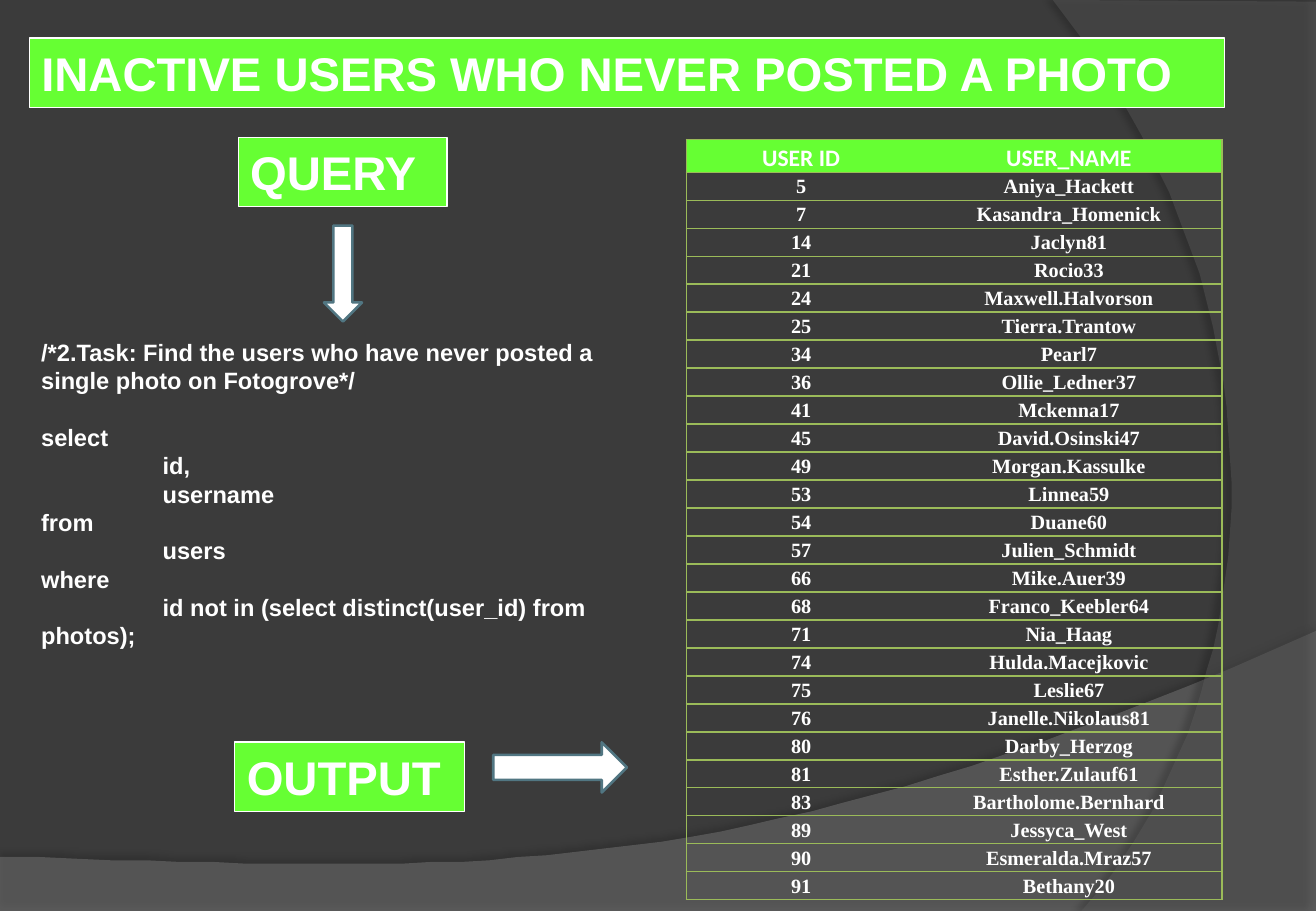
from lxml import etree
from pptx import Presentation
from pptx import util as u
from pptx.dml import color
from pptx.enum import shapes, text
from pptx.oxml import parse_xml
from pptx.oxml.ns import nsdecls

GREEN, WHITE, OLIVE, TEAL = "66FF33", "FFFFFF", "9BBB59", "517682"


def paint(fill, value):
    fill.solid()
    fill.fore_color.rgb = color.RGBColor.from_string(value)


def write(para, words, size, font="Arial"):
    span = para.add_run()
    span.text = words
    for name, value in {"size": u.Pt(size), "name": font, "bold": True}.items():
        setattr(span.font, name, value)
    paint(span.font.fill, WHITE)


deck = Presentation()
deck.slide_width, deck.slide_height = u.Pt(780), u.Pt(540)
page = deck.slides.add_slide(deck.slide_layouts[5])
paint(page.background.fill, "3B3B3B")

# Background waves: start, corners, then a curve (three control points)
waves = [
    ([(0, 507.6), (0, 540), (780, 540), (780, 374.4)],
     [(436.3, 524.9), (304.6, 517.7), (0, 507.6)], "7F7F7F", 45, 35, 3.5, 270),
    ([(780, 1.4), (780, 540), (640.8, 540)],
     [(728.6, 445.7), (793.4, 216), (624.2, 0)], "5E5E5E", 40, 45, 4, 180),
]
STEPS = 40
for corners, controls, shade, opacity, shadow_opacity, distance, angle in waves:
    curve = [corners[-1]] + controls
    points = list(corners)
    for step in range(1, STEPS + 1):
        t = step / STEPS
        weights = [(1 - t) ** 3, 3 * t * (1 - t) ** 2, 3 * t * t * (1 - t), t ** 3]
        points.append(tuple(sum(w * p[axis] for w, p in zip(weights, curve)) for axis in (0, 1)))
    outline = page.shapes.build_freeform(*points[0], scale=u.Pt(1))
    outline.add_line_segments(points[1:], close=True)
    wave = outline.convert_to_shape()
    paint(wave.fill, shade)
    wave.line.fill.background()
    tint = wave.fill._xPr.find(".//{*}srgbClr")
    etree.SubElement(tint, tint.tag.replace("srgbClr", "alpha"), val=str(opacity * 1000))
    wave._element.spPr.append(parse_xml(
        f'<a:effectLst {nsdecls("a")}><a:outerShdw blurRad="{u.Pt(4)}" dist="{u.Pt(distance)}" '
        f'dir="{angle * 60000}" algn="ctr" rotWithShape="0"><a:srgbClr val="000000">'
        f'<a:alpha val="{shadow_opacity * 1000}"/></a:srgbClr></a:outerShdw></a:effectLst>'))

# Title and green labels
title = page.shapes.title
page.shapes._spTree.append(title._element)
query = page.shapes.add_shape(shapes.MSO_SHAPE.RECTANGLE, 0, 0, 0, 0)
output = page.shapes.add_shape(shapes.MSO_SHAPE.RECTANGLE, 0, 0, 0, 0)
labels = [
    (title, "INACTIVE USERS WHO NEVER POSTED A PHOTO", 17.3, 22.6, 708.6),
    (query, "QUERY", 141.2, 81.4, 123.8),
    (output, "OUTPUT", 139.2, 439.8, 136),
]
for label, words, left, top, width in labels:
    place = {"left": left, "top": top, "width": width, "height": 41.2}
    for name, value in place.items():
        setattr(label, name, u.Pt(value))
    paint(label.fill, GREEN)
    paint(label.line.fill, WHITE)
    label.line.width = u.Pt(0.75)
    frame = label.text_frame
    layout = {"word_wrap": True, "auto_size": text.MSO_AUTO_SIZE.NONE,
              "vertical_anchor": text.MSO_ANCHOR.MIDDLE}
    for name, value in layout.items():
        setattr(frame, name, value)
    frame.paragraphs[0].alignment = text.PP_ALIGN.LEFT
    write(frame.paragraphs[0], words, 28)
for label in (query, output):
    label.shadow.inherit = False

# Block arrows
arrows = [
    (shapes.MSO_SHAPE.DOWN_ARROW, 192, 133.7, 22.6, 56.9),
    (shapes.MSO_SHAPE.RIGHT_ARROW, 292.4, 440, 79.2, 29.8),
]
for kind, *place in arrows:
    arrow = page.shapes.add_shape(kind, *map(u.Pt, place))
    arrow.shadow.inherit = False
    paint(arrow.fill, WHITE)
    paint(arrow.line.fill, TEAL)
    arrow.line.width = u.Pt(1.5)

# Query text: words, indent, space before
code = [
    ("/*2.Task: Find the users who have never posted a single photo on Fotogrove*/", 0, 0),
    ("select", 0, 16.8),
    ("id,", 72, 0),
    ("username", 72, 0),
    ("from", 0, 0),
    ("users", 72, 0),
    ("where", 0, 0),
    ("id not in (select distinct(user_id) from", 72, 0),
    ("photos);", 0, 0),
]
box = page.shapes.add_textbox(u.Pt(17.3), u.Pt(196.6), u.Pt(361.4), u.Pt(193.7))
box.text_frame.word_wrap = True
for index, (words, indent, gap) in enumerate(code):
    para = box.text_frame.add_paragraph() if index else box.text_frame.paragraphs[0]
    para.space_before = u.Pt(gap)
    para._p.get_or_add_pPr().set("marL", str(u.Pt(indent)))
    write(para, words, 14)

# Table of inactive users
users = [
    ("USER ID", "USER_NAME"), (5, "Aniya_Hackett"), (7, "Kasandra_Homenick"),
    (14, "Jaclyn81"), (21, "Rocio33"), (24, "Maxwell.Halvorson"),
    (25, "Tierra.Trantow"), (34, "Pearl7"), (36, "Ollie_Ledner37"),
    (41, "Mckenna17"), (45, "David.Osinski47"), (49, "Morgan.Kassulke"),
    (53, "Linnea59"), (54, "Duane60"), (57, "Julien_Schmidt"),
    (66, "Mike.Auer39"), (68, "Franco_Keebler64"), (71, "Nia_Haag"),
    (74, "Hulda.Macejkovic"), (75, "Leslie67"), (76, "Janelle.Nikolaus81"),
    (80, "Darby_Herzog"), (81, "Esther.Zulauf61"), (83, "Bartholome.Bernhard"),
    (89, "Jessyca_West"), (90, "Esmeralda.Mraz57"), (91, "Bethany20"),
]
HEADER, ROW = 19, 16.6
table = page.shapes.add_table(len(users), 2, u.Pt(406.8), u.Pt(82.8), u.Pt(317.5),
                              u.Pt(HEADER + ROW * (len(users) - 1))).table
table.columns[0].width, table.columns[1].width = u.Pt(136.1), u.Pt(181.4)
for row, record in enumerate(users):
    table.rows[row].height = u.Pt(ROW if row else HEADER)
    for column, value in enumerate(record):
        cell = table.cell(row, column)
        margins = {"margin_left": 3, "margin_right": 3, "margin_top": 0, "margin_bottom": 0}
        for name, margin in margins.items():
            setattr(cell, name, u.Pt(margin))
        inner = "LR"[1 - column]
        for side in "LRTB":
            stroke = ("<a:noFill/>" if side == inner else
                      f'<a:solidFill><a:srgbClr val="{OLIVE}"/></a:solidFill>')
            cell._tc.get_or_add_tcPr().append(parse_xml(
                f'<a:ln{side} {nsdecls("a")} w="{u.Pt(1)}">{stroke}</a:ln{side}>'))
        para = cell.text_frame.paragraphs[0]
        para.alignment, para.line_spacing = text.PP_ALIGN.CENTER, 1.15
        if row:
            cell.fill.background()
            write(para, str(value), 12, "Times New Roman")
        else:
            paint(cell.fill, GREEN)
            write(para, value, 14, "Calibri")

deck.save("out.pptx")
